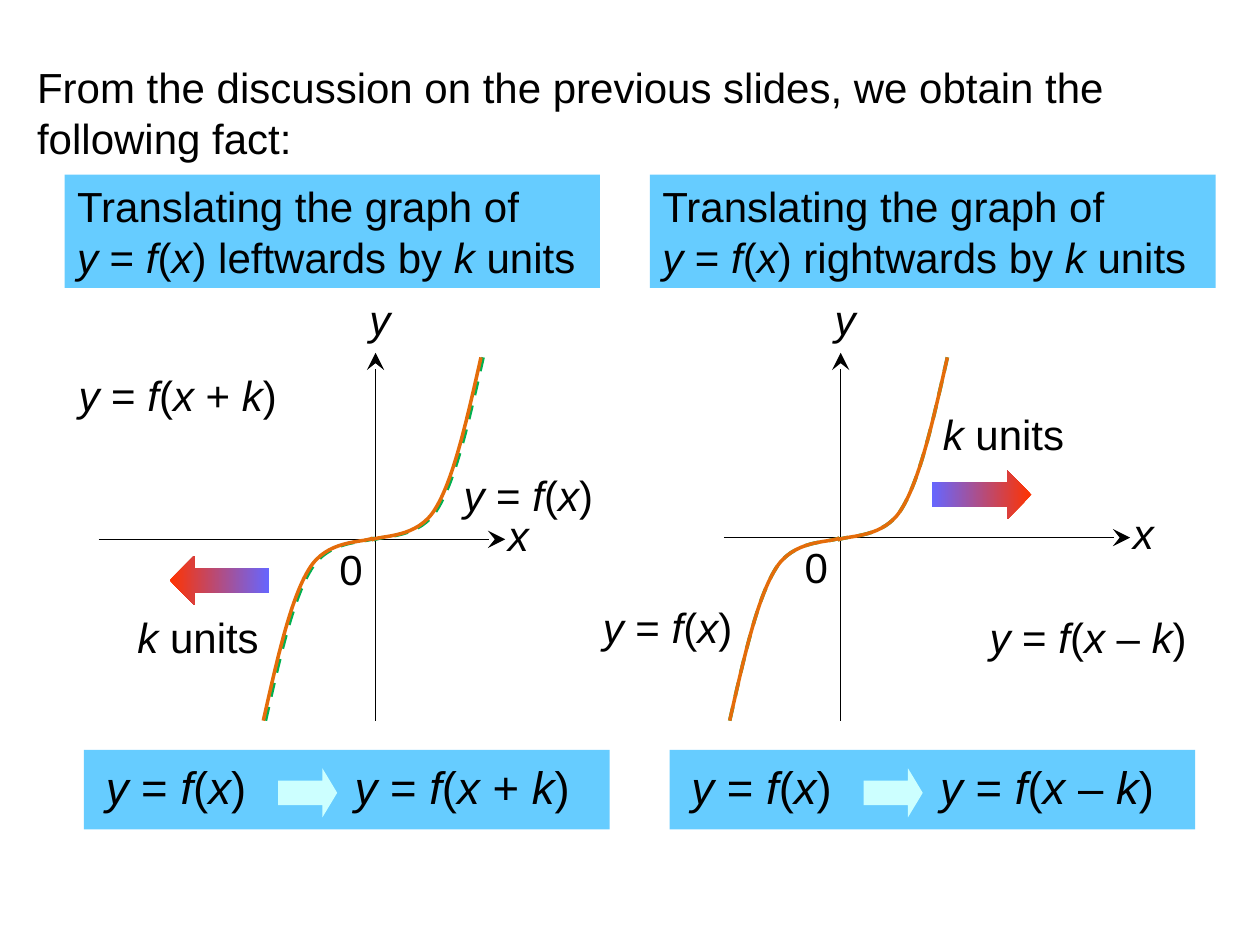
from dataclasses import dataclass

from lxml import etree
from pptx import Presentation
from pptx.dml.color import RGBColor
from pptx.enum.dml import MSO_LINE
from pptx.enum.shapes import MSO_CONNECTOR, MSO_SHAPE
from pptx.enum.text import MSO_ANCHOR, MSO_AUTO_SIZE, PP_ALIGN
from pptx.oxml.ns import qn
from pptx.util import Pt

DASH = MSO_LINE.DASH
STRAIGHT = MSO_CONNECTOR.STRAIGHT
RECTANGLE = MSO_SHAPE.RECTANGLE
UP_ARROW = MSO_SHAPE.UP_ARROW
RIGHT_ARROW = MSO_SHAPE.RIGHT_ARROW
TOP = MSO_ANCHOR.TOP
NO_AUTOFIT = MSO_AUTO_SIZE.NONE
LEFT = PP_ALIGN.LEFT


@dataclass(frozen=True)
class Theme:
    """Colours, font and type sizes of the slide."""
    font: str = "Arial"
    ink: RGBColor = RGBColor(0, 0, 0)
    panel: RGBColor = RGBColor(0x66, 0xCC, 0xFF)
    pale: RGBColor = RGBColor(0xCC, 0xFF, 0xFF)
    green: RGBColor = RGBColor(0x00, 0xB0, 0x50)
    orange: RGBColor = RGBColor(0xE4, 0x6C, 0x0A)
    arrow_tip: RGBColor = RGBColor(0xFF, 0x33, 0x00)
    arrow_end: RGBColor = RGBColor(0x66, 0x66, 0xFF)
    text_size: float = 24
    result_size: float = 26


@dataclass(frozen=True)
class Translation:
    """One direction of translation and where its parts stand, in points."""
    direction: str
    target: str
    heading_left: float
    heading_width: float
    origin: tuple
    axis_span: tuple
    original_x: float
    translated_x: float
    source_label: tuple
    target_label: tuple
    units_label: tuple
    arrow: tuple
    arrow_rotation: float
    result_left: float


THEME = Theme()
SOURCE = "*y* = *f*(*x*)"
HALF_CURVE = [(-62.2, 103.8), (-54.4, 69.3), (-46.8, 34.7), (-36.2, 17.4),
              (-26, 0.2), (-5.9, 2.3), (0.4, -0.5)]
CURVE_Y = 308
TRANSLATIONS = [
    Translation("leftwards", "*y* = *f*(*x* + *k*)", 37, 305.8, (214.6, 308.2),
                (56.4, 288.7), 213.9, 212.7, (257.8, 265), (37.8, 207.8),
                (71.5, 346), (111.3, 303.2), 270, 48),
    Translation("rightwards", "*y* = *f*(*x* – *k*)", 371.4, 323.3, (480.4, 307.2),
                (413.7, 645.8), 479.2, 479.2, (337.4, 340.3), (558.4, 346),
                (531.7, 229.7), (547, 254.2), 90, 382.6),
]


def write(text_frame, text, size=THEME.text_size, color=THEME.ink):
    """Write text in which asterisks enclose italic parts."""
    text_frame.word_wrap = True
    text_frame.auto_size = NO_AUTOFIT
    text_frame.vertical_anchor = TOP
    paragraph = text_frame.paragraphs[0]
    paragraph.alignment = LEFT
    for line_number, line in enumerate(text.split("\n")):
        if line_number:
            paragraph.add_line_break()
        for index, part in enumerate(line.split("*")):
            if part:
                run = paragraph.add_run()
                run.text = part
                run.font.name = THEME.font
                run.font.size = Pt(size)
                run.font.italic = index % 2 == 1
                run.font.color.rgb = color


def add_label(slide, text, left, top, width, height=36, **text_format):
    """Add a text box."""
    box = slide.shapes.add_textbox(Pt(left), Pt(top), Pt(width), Pt(height))
    write(box.text_frame, text, **text_format)


def add_block(slide, kind, left, top, width, height, color=None, adjustments=()):
    """Add a preset shape without outline or shadow."""
    shape = slide.shapes.add_shape(kind, Pt(left), Pt(top), Pt(width), Pt(height))
    shape.shadow.inherit = False
    shape.line.fill.background()
    for index, value in enumerate(adjustments):
        shape.adjustments[index] = value
    if color is not None:
        shape.fill.solid()
        shape.fill.fore_color.rgb = color
    return shape


def add_gradient_arrow(slide, left, top, rotation):
    """Add a turned arrow that shades from its tip to its end."""
    arrow = add_block(slide, UP_ARROW, left, top, 28.1, 56.9, adjustments=(0.5, 0.5))
    arrow.rotation = rotation
    arrow.fill.gradient()
    arrow.fill.gradient_angle = 270
    for stop, color in zip(arrow.fill.gradient_stops, (THEME.arrow_tip, THEME.arrow_end)):
        stop.color.rgb = color


def add_axis(slide, start, end):
    """Add an axis line with a large stealth arrowhead at its end."""
    axis = slide.shapes.add_connector(STRAIGHT, *(Pt(value) for value in start + end))
    axis.line.color.rgb = THEME.ink
    axis.line.width = Pt(0.75)
    properties = axis.line._get_or_add_ln()
    etree.SubElement(properties, qn("a:tailEnd"), type="stealth", w="lg", len="lg")
    etree.SubElement(axis._element.spPr, qn("a:effectLst"))


def bend(curve):
    """Turn each three line segments of a freeform into one cubic curve."""
    segments = list(curve._element.iter(qn("a:lnTo")))
    for first in range(0, len(segments), 3):
        cubic = etree.Element(qn("a:cubicBezTo"))
        segments[first].addprevious(cubic)
        for segment in segments[first:first + 3]:
            cubic.append(segment[0])
            segment.getparent().remove(segment)


def add_graph(slide, center_x, color, dash=None):
    """Add both halves of the curve, symmetric about its centre."""
    for sign in (1, -1):
        points = [(Pt(center_x + sign * x), Pt(CURVE_Y + sign * y)) for x, y in HALF_CURVE]
        builder = slide.shapes.build_freeform(*points[0])
        builder.add_line_segments(points[1:], close=False)
        curve = builder.convert_to_shape()
        bend(curve)
        curve.shadow.inherit = False
        curve.fill.background()
        curve.line.color.rgb = color
        curve.line.width = Pt(2)
        if dash is not None:
            curve.line.dash_style = dash


def add_diagram(slide, translation):
    """Add the axes, the graphs, their labels and the direction arrow."""
    x, y = translation.origin
    start, end = translation.axis_span
    add_axis(slide, (x, 411.8), (x, 201.6))
    add_axis(slide, (start, y), (end, y))
    add_label(slide, "0", x - 27.7, y - 1.4, 71.3)
    add_label(slide, "*y*", x - 10.6, 164.4, 71.3)
    add_label(slide, "*x*", end - 5.6, y - 20.5, 71.3)
    add_label(slide, SOURCE, *translation.source_label, 124.6)
    add_graph(slide, translation.original_x, THEME.green, DASH)
    add_graph(slide, translation.translated_x, THEME.orange)
    add_label(slide, translation.target, *translation.target_label, 147.6)
    add_label(slide, "*k* units", *translation.units_label, 107.6)
    add_gradient_arrow(slide, *translation.arrow, translation.arrow_rotation)


def add_heading(slide, translation):
    """Add the panel that states the translation."""
    panel = add_block(slide, RECTANGLE, translation.heading_left, 99.8,
                      translation.heading_width, 64.8, THEME.panel)
    write(panel.text_frame, "Translating the graph of\n"
          f"{SOURCE} {translation.direction} by *k* units")


def add_result(slide, translation):
    """Add the bar that shows how the function changes."""
    left = translation.result_left
    add_block(slide, RECTANGLE, left, 428.6, 300.4, 45.4, THEME.panel)
    add_label(slide, SOURCE, left + 5.4, 430.3, 102.2, 38.9, size=THEME.result_size)
    add_block(slide, RIGHT_ARROW, left + 110.9, 439, 33.8, 28.1, THEME.pale, (0.5, 0.3))
    add_label(slide, translation.target, left + 147.6, 430.3, 149, 38.9,
              size=THEME.result_size)


def add_title(slide, text):
    """Place and write the title."""
    title = slide.shapes.title
    title.left, title.top, title.width, title.height = Pt(14), Pt(31.7), Pt(684), Pt(65.5)
    write(title.text_frame, text)


def main():
    """Build the slide and save it."""
    presentation = Presentation()
    presentation.slide_width, presentation.slide_height = Pt(720), Pt(540)
    slide = presentation.slides.add_slide(presentation.slide_layouts[5])
    add_title(slide, "From the discussion on the previous slides, "
                     "we obtain the following fact:")
    for translation in TRANSLATIONS:
        add_heading(slide, translation)
        add_diagram(slide, translation)
        add_result(slide, translation)
    presentation.save("out.pptx")


if __name__ == "__main__":
    main()
